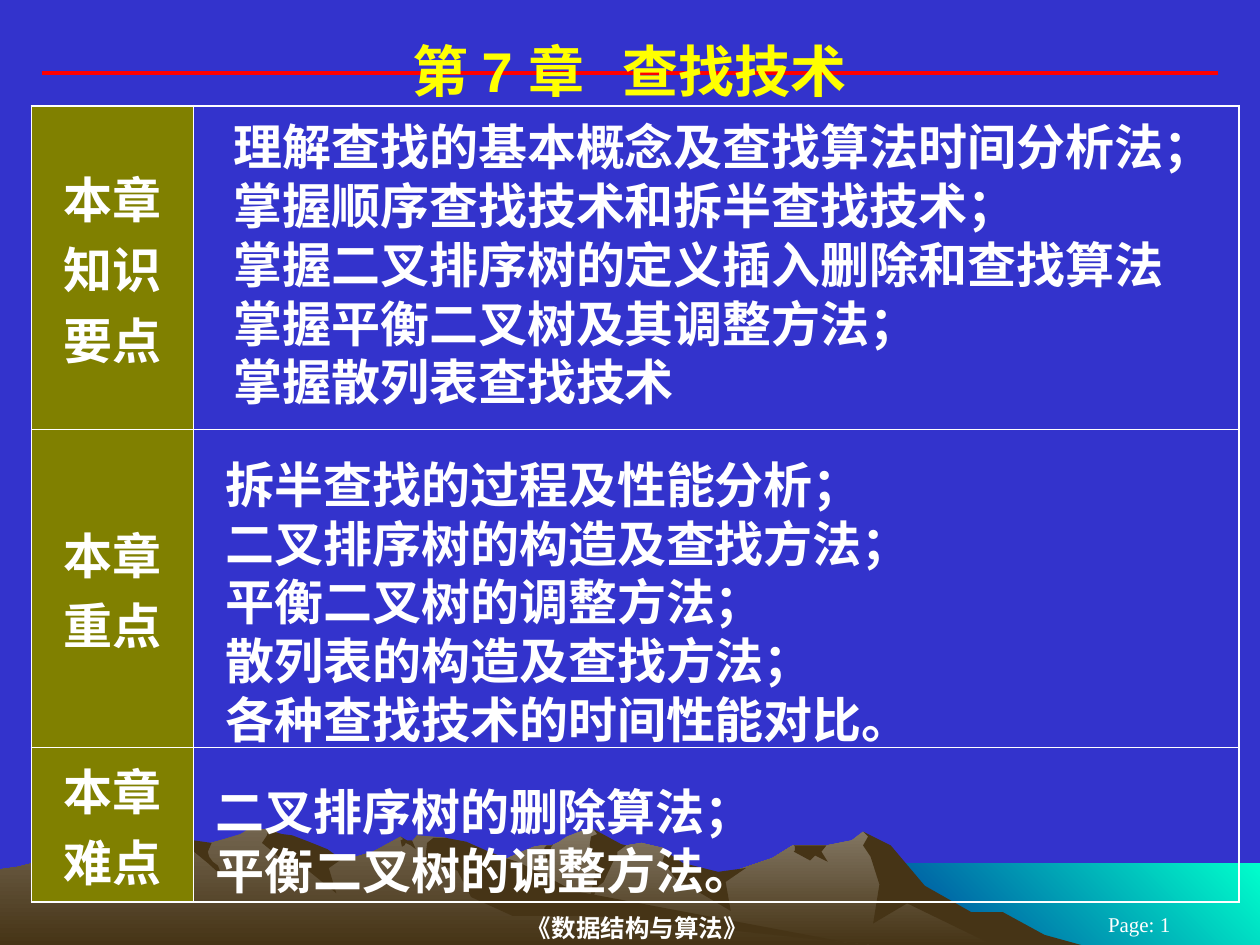
from pptx import Presentation
from pptx.dml.color import RGBColor
from pptx.enum.shapes import MSO_CONNECTOR as Connector
from pptx.enum.text import MSO_ANCHOR as Anchor, PP_ALIGN as Align
from pptx.oxml.xmlchemy import OxmlElement
from pptx.util import Pt

COLORS = {
    "background": "3333CC", "white": "FFFFFF", "title": "FFFF00", "rule": "FF0000",
    "label": "808000", "sea_light": "00FFCC", "sea_dark": "003399",
    "ridge": "837763", "hill": "72644E", "shade": "463416",
}
HEADING = {"size": Pt(32), "bold": True, "name": "Arial"}
BODY = {"size": Pt(28), "bold": True, "name": "Arial"}
FOOTER = {"size": Pt(14), "bold": True, "name": "Times New Roman"}
PAGE = {"size": Pt(12), "bold": False, "name": "Times New Roman"}

SEA = "1000,750 683,750 683,685 1000,685"
RIDGE = (
    "802,740 778,727 764,723 723,698 702,671 685,660 676,667 656,671 629,671 613,681 "
    "566,697 536,690 529,676 526,673 509,669 497,671 486,673 474,661 471,658 465,658 "
    "450,664 444,668 438,671 430,671 424,672 412,677 399,683 394,685 355,698 327,709 "
    "277,739 258,750 820,750"
)
RIDGE_SHADES = [
    "796,724 771,724 734,703 707,671 685,660 689,664 685,671 691,680 698,702 693,733 "
    "720,717 788,750 858,750 829,742",
    "471,658 474,662 469,664 468,671 472,680 473,690 465,727 474,704 479,700 487,683 "
    "490,682 490,676 497,671 493,670",
    "529,676 528,678 526,683 536,697 580,723 576,700 592,689 570,692 542,685",
    "650,671 630,671 631,672 631,675 630,676 643,683 647,679 657,684 652,676 656,671",
    "433,677 432,673 434,671 438,671 439,670 437,673 439,679 434,684",
]
HILL = (
    "690,750 667,748 432,712 354,665 331,663 327,668 323,668 318,664 296,676 279,681 "
    "271,682 260,676 236,681 223,663 219,660 212,658 197,658 191,662 178,666 160,671 "
    "148,667 143,667 132,671 128,671 123,669 111,669 94,671 68,662 56,669 46,674 "
    "35,679 26,685 14,688 0,690 0,750"
)
HILL_SHADES = [
    "212,663 208,669 219,678 232,690 241,688 267,709 261,689 271,682 260,674 245,668 "
    "232,663 224,662 213,659",
    "370,668 354,665 344,665 339,669 337,687 348,683 353,688 363,691 374,712 407,727 "
    "472,727 690,750 683,750 455,707 427,692 411,684 401,681 386,675",
    "318,667 320,666 318,664 323,667 327,667 330,674 326,671 322,669 321,671 319,672",
    "154,667 168,669 165,676 166,680 169,684 173,687 176,695 165,685 154,676 148,667",
    "133,670 130,674 132,680 127,675 123,669",
    "109,668 111,669 105,676 93,685 98,689 100,698 82,685 77,676 84,673 79,668 "
    "69,664 69,662 77,663 84,663 94,665",
]

LABELS = [["本章", "知识", "要点"], ["本章", "重点"], ["本章", "难点"]]
KNOWLEDGE = [
    "理解查找的基本概念及查找算法时间分析法；",
    "掌握顺序查找技术和拆半查找技术；",
    "掌握二叉排序树的定义插入删除和查找算法",
    "掌握平衡二叉树及其调整方法；",
    "掌握散列表查找技术",
]
FOCUS = [
    "拆半查找的过程及性能分析；",
    "二叉排序树的构造及查找方法；",
    "平衡二叉树的调整方法；",
    "散列表的构造及查找方法；",
    "各种查找技术的时间性能对比。",
]
DIFFICULTY = ["二叉排序树的删除算法；", "平衡二叉树的调整方法。"]


def rgb(name):
    return RGBColor.from_string(COLORS[name])


def write_lines(frame, lines, font, color="white", **layout):
    for index, line in enumerate(lines):
        paragraph = frame.paragraphs[0] if index == 0 else frame.add_paragraph()
        for name, value in layout.items():
            setattr(paragraph, name, value)
        run = paragraph.add_run()
        run.text = line
        for name, value in font.items():
            setattr(run.font, name, value)
        run.font.color.rgb = rgb(color)


def add_text(slide, box, lines, font, color="white", anchor=Anchor.TOP,
             margins=(1.44, 0.72), **layout):
    frame = slide.shapes.add_textbox(*map(Pt, box)).text_frame
    side, end = map(Pt, margins)
    settings = {"word_wrap": True, "vertical_anchor": anchor, "margin_left": side,
                "margin_right": side, "margin_top": end, "margin_bottom": end}
    for name, value in settings.items():
        setattr(frame, name, value)
    write_lines(frame, lines, font, color, **layout)


def add_outline(slide, box, outline, colors, angle=270):
    left, top, width, _ = map(Pt, box)
    points = [tuple(map(int, pair.split(","))) for pair in outline.split()]
    builder = slide.shapes.build_freeform(*points[0], scale=width / 1000)
    builder.add_line_segments(points[1:], close=True)
    shape = builder.convert_to_shape(left, top)
    shape.shadow.inherit = False
    shape.line.fill.background()
    if len(colors) == 1:
        shape.fill.solid()
        shape.fill.fore_color.rgb = rgb(colors[0])
        return
    shape.fill.gradient()
    shape.fill.gradient_angle = angle
    for stop, color in zip(shape.fill.gradient_stops, colors):
        stop.color.rgb = rgb(color)


def add_landscape(slide, box):
    add_outline(slide, box, SEA, ["sea_light", "sea_dark"], 225)
    for outline, color, shades in [(RIDGE, "ridge", RIDGE_SHADES),
                                   (HILL, "hill", HILL_SHADES)]:
        add_outline(slide, box, outline, [color, "shade"])
        for shade in shades:
            add_outline(slide, box, shade, ["shade"])


def add_header(slide, box):
    left, top, width, height = box
    middle = Pt(top + 21.6)
    rule = slide.shapes.add_connector(
        Connector.STRAIGHT, Pt(left + 24), middle, Pt(left + width - 24), middle)
    rule.line.color.rgb = rgb("rule")
    rule.line.width = Pt(2.25)
    rule._element.spPr.append(OxmlElement("a:effectLst"))
    add_text(slide, box, ["第 7 章   查找技术"], HEADING, "title", alignment=Align.CENTER)


def add_footer(slide, box):
    left, top, width, height = box
    add_text(slide, (left + 146.3, top, 436, height), ["《数据结构与算法》"], FOOTER,
             anchor=Anchor.MIDDLE, margins=(0, 0.72), alignment=Align.CENTER)
    add_text(slide, (left + 594, top + 2, 114, 12), ["Page: 1"], PAGE,
             anchor=Anchor.MIDDLE, margins=(7.2, 3.6), alignment=Align.CENTER)


def set_borders(cell, widths):
    properties = cell._tc.get_or_add_tcPr()
    for index, (side, width) in enumerate(widths.items()):
        line = OxmlElement(f"a:{side}")
        line.set("w", str(Pt(width)))
        fill = OxmlElement("a:solidFill")
        color = OxmlElement("a:srgbClr")
        color.set("val", COLORS["white"])
        fill.append(color)
        line.append(fill)
        properties.insert(index, line)


def add_outline_table(slide, box):
    left, top, width, height = box
    table = slide.shapes.add_table(3, 2, *map(Pt, box)).table
    table.first_row = table.horz_banding = False
    for column, size in zip(table.columns, [92.4, width - 92.4]):
        column.width = Pt(size)
    for row, size in zip(table.rows, [185, 181.5, height - 366.5]):
        row.height = Pt(size)
    outer, inner = 1.08, 0.45
    for index, lines in enumerate(LABELS):
        label, content = table.rows[index].cells
        label.fill.solid()
        label.fill.fore_color.rgb = rgb("label")
        label.vertical_anchor = Anchor.MIDDLE
        write_lines(label.text_frame, lines, BODY, alignment=Align.CENTER)
        content.fill.background()
        for cell in (label, content):
            set_borders(cell, {
                "lnL": outer if cell is label else inner,
                "lnR": outer if cell is content else inner,
                "lnT": outer if index == 0 else inner,
                "lnB": outer if index == len(LABELS) - 1 else inner,
            })
    for x, y, text_width, text_height, lines in [
            (114, 5.5, 564, 170, KNOWLEDGE),
            (109.5, 198.5, 544, 170, FOCUS),
            (103.7, 385.5, 568, 69, DIFFICULTY)]:
        add_text(slide, (left + x, top + y, text_width, text_height), lines, BODY)


def main():
    presentation = Presentation()
    presentation.slide_width, presentation.slide_height = Pt(720), Pt(540)
    slide = presentation.slides.add_slide(presentation.slide_layouts[6])
    slide.background.fill.solid()
    slide.background.fill.fore_color.rgb = rgb("background")
    add_landscape(slide, (0, 0, 720, 540))
    add_header(slide, (0, 20, 720, 40))
    add_footer(slide, (0, 520, 720, 20))
    add_outline_table(slide, (18, 60.4, 690, 455))
    presentation.save("out.pptx")


if __name__ == "__main__":
    main()
